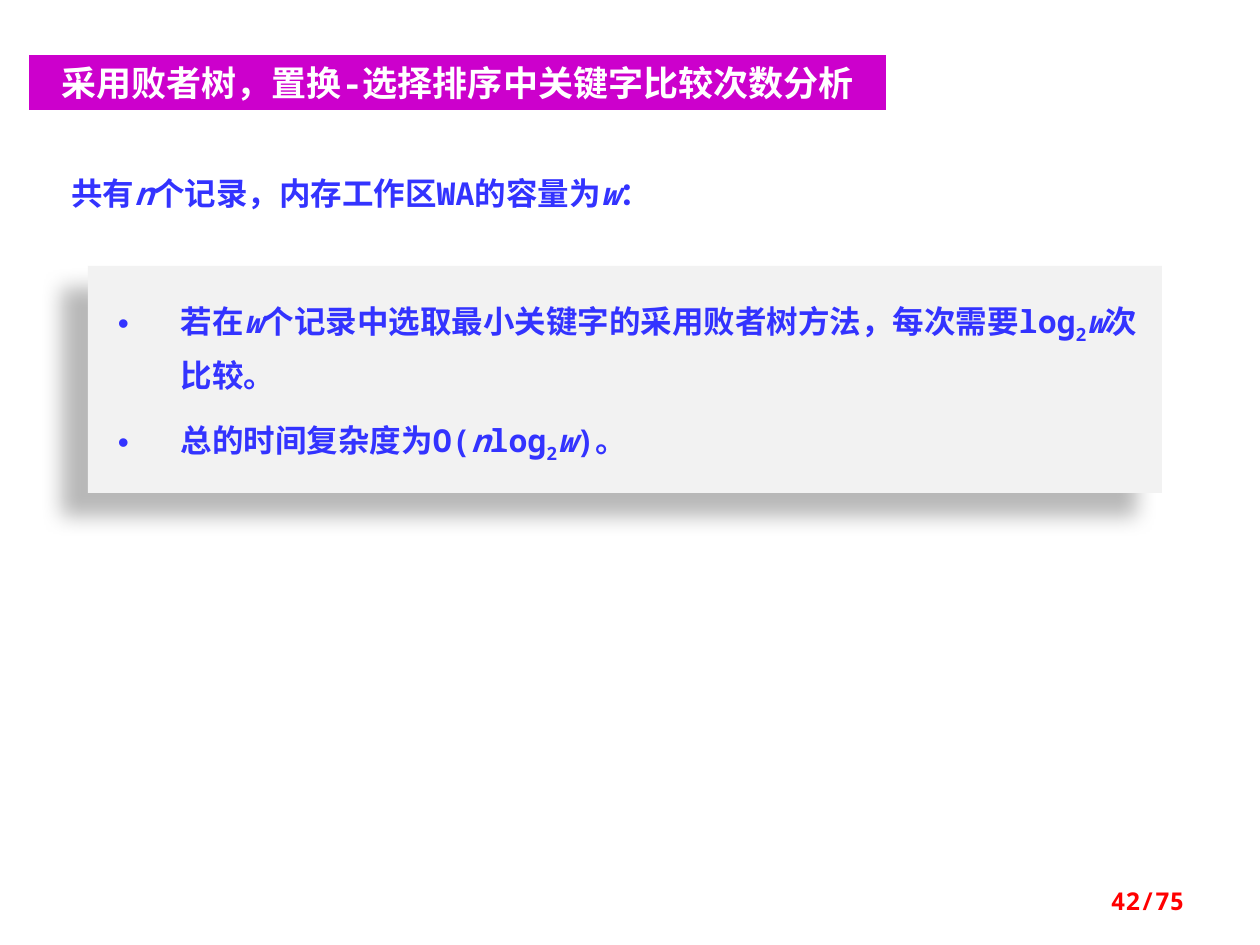
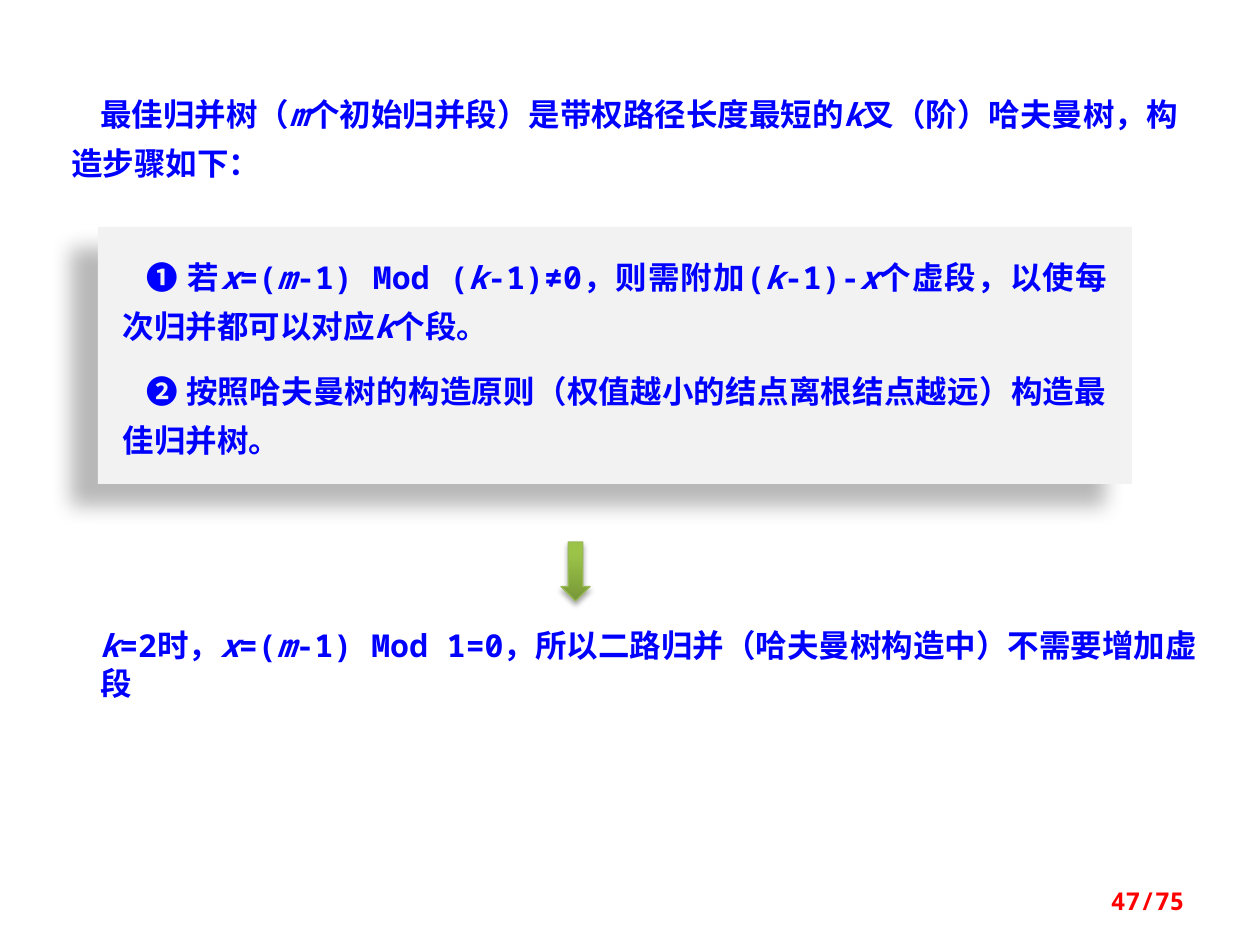
"""Build two slides on loser-tree comparisons and the best merge tree."""
import pptx
import pptx.util
from lxml import etree
from pptx.dml.color import RGBColor
from pptx.enum.shapes import MSO_SHAPE
from pptx.enum.text import MSO_ANCHOR, PP_ALIGN
from pptx.oxml.ns import qn

PX = 914400 / 126
FONT = "Noto Sans Mono"
COLORS = {
    "band": "CC00CC",
    "white": "FFFFFF",
    "violet": "3333FF",
    "blue": "0000FF",
    "panel": "F2F2F2",
    "page": "FF0000",
    "shadow": "000000",
    "arrow_dark": "779737",
    "arrow_light": "9BC348",
    "arrow_line": "98B955",
}


def px(n):
    """Turn pixels into EMU."""
    return pptx.util.Emu(round(n * PX))


def rgb(name):
    """Look up a colour by name."""
    return RGBColor.from_string(COLORS[name])


def add_run(p, text, size, color, italic=False, sub=False):
    """Add one bold run to a paragraph."""
    r = p.add_run()
    r.text = text
    r.font.name = FONT
    r.font.size = pptx.util.Pt(size)
    r.font.bold = True
    r.font.italic = italic
    r.font.color.rgb = rgb(color)
    rPr = r._r.get_or_add_rPr()
    rPr.set("lang", "zh-CN")
    if sub:
        rPr.set("baseline", "-25000")


def add_bullet(p):
    """Give a paragraph a round bullet."""
    pPr = p._p.get_or_add_pPr()
    etree.SubElement(pPr, qn("a:buFont")).set("typeface", "Arial")
    etree.SubElement(pPr, qn("a:buChar")).set("char", "•")


def write(shape, texts, color, size=18, align=PP_ALIGN.LEFT, anchor=MSO_ANCHOR.TOP,
          leading=None, gap=0, margin=0, indent=0, bullet=False):
    """Fill a shape with paragraphs; *x* is italic and _x_ is subscript."""
    tf = shape.text_frame
    tf.word_wrap = True
    tf.vertical_anchor = anchor
    for i, text in enumerate(texts):
        p = tf.paragraphs[0] if i == 0 else tf.add_paragraph()
        if bullet:
            add_bullet(p)
        p.alignment = align
        pPr = p._p.get_or_add_pPr()
        pPr.set("marL", str(px(margin)))
        pPr.set("indent", str(px(indent)))
        if leading:
            p.line_spacing = pptx.util.Pt(leading)
        p.space_before = pptx.util.Pt(gap if i else 0)
        for j, part in enumerate(text.split("*")):
            for k, piece in enumerate(part.split("_")):
                if piece:
                    add_run(p, piece, size, color, italic=j % 2 == 1, sub=k % 2 == 1)


def add_text(s, x, y, w, h, texts, color, **style):
    """Add a text box."""
    write(s.shapes.add_textbox(px(x), px(y), px(w), px(h)), texts, color, **style)


def add_shadow(sp, alpha, blur, dist, angle):
    """Give a shape an outer shadow; blur and distance are in points."""
    sp.shadow.inherit = False
    effects = sp._element.spPr.find(qn("a:effectLst"))
    outer = etree.SubElement(effects, qn("a:outerShdw"), blurRad=str(pptx.util.Pt(blur)),
                             dist=str(pptx.util.Pt(dist)), dir=str(angle * 60000),
                             algn="ctr", rotWithShape="0")
    clr = etree.SubElement(outer, qn("a:srgbClr"), val=COLORS["shadow"])
    etree.SubElement(clr, qn("a:alpha"), val=str(alpha * 1000))


def add_panel(s, x, y, w, h, insets, texts, color, **style):
    """Add a grey panel with a soft shadow and text."""
    sp = s.shapes.add_shape(MSO_SHAPE.RECTANGLE, px(x), px(y), px(w), px(h))
    sp.fill.solid()
    sp.fill.fore_color.rgb = rgb("panel")
    sp.line.fill.background()
    add_shadow(sp, 28, 11.8, 19.7, 141)
    tf = sp.text_frame
    tf.margin_left, tf.margin_top, tf.margin_right, tf.margin_bottom = map(px, insets)
    write(sp, texts, color, leading=28, **style)


def add_down_arrow(s, x, y, w, h):
    """Add a green gradient arrow pointing down."""
    sp = s.shapes.add_shape(MSO_SHAPE.DOWN_ARROW, px(x), px(y), px(w), px(h))
    sp.fill.gradient()
    sp.fill.gradient_angle = 90
    dark, light = sp.fill.gradient_stops
    dark.color.rgb = rgb("arrow_dark")
    light.color.rgb = rgb("arrow_light")
    light.position = 0.8
    sp.line.color.rgb = rgb("arrow_line")
    sp.line.width = pptx.util.Pt(0.75)
    add_shadow(sp, 35, 3.1, 1.8, 90)


def set_title(s, text):
    """Turn the title placeholder into a coloured band."""
    sp = s.shapes.title
    sp.left, sp.top, sp.width, sp.height = map(px, (29, 55, 857, 55))
    sp.fill.solid()
    sp.fill.fore_color.rgb = rgb("band")
    write(sp, [text], "white", size=20, align=PP_ALIGN.CENTER, anchor=MSO_ANCHOR.MIDDLE)


def add_page(s, number):
    """Add the page number at the lower right."""
    add_text(s, 903, 876, 294, 50, [f"{number}/75"], "page", size=14,
             align=PP_ALIGN.RIGHT, anchor=MSO_ANCHOR.MIDDLE)


def build_comparisons(prs):
    """Build the slide on the number of key comparisons."""
    s = prs.slides.add_slide(prs.slide_layouts[5])
    set_title(s, "采用败者树，置换-选择排序中关键字比较次数分析")
    add_text(s, 59, 168, 718, 50, ["共有*n*个记录，内存工作区WA的容量为*w*："], "violet")
    add_panel(s, 88, 266, 1074, 227, (30, 30, 25, 25), [
        "若在*w*个记录中选取最小关键字的采用败者树方法，每次需要log_2_*w*次比较。",
        "总的时间复杂度为O(*n*log_2_*w*)。",
    ], "violet", gap=12, margin=63, indent=-63, bullet=True)
    add_page(s, 42)


def build_merge_tree(prs):
    """Build the slide on constructing the best merge tree."""
    s = prs.slides.add_slide(prs.slide_layouts[6])
    add_panel(s, 98, 227, 1034, 257, (25, 20, 25, 20), [
        "❶ 若*x*=(*m*-1) Mod (*k*-1)≠0，则需附加(*k*-1)-*x*个虚段，以使每次归并都可以对应*k*个段。",
        "❷ 按照哈夫曼树的构造原则（权值越小的结点离根结点越远）构造最佳归并树。",
    ], "blue", align=PP_ALIGN.JUSTIFY, gap=9, indent=24)
    add_text(s, 59, 78, 1142, 107, [
        "最佳归并树（*m*个初始归并段）是带权路径长度最短的*k*叉（阶）哈夫曼树，构造步骤如下：",
    ], "blue", leading=28, indent=29)
    add_text(s, 88, 620, 1131, 50, [
        "*k*=2时，*x*=(*m*-1) Mod 1=0，所以二路归并（哈夫曼树构造中）不需要增加虚段",
    ], "blue")
    add_down_arrow(s, 561, 542, 29, 59)
    add_page(s, 47)


def main():
    """Build and save the presentation."""
    prs = pptx.Presentation()
    prs.slide_width, prs.slide_height = px(1260), px(945)
    build_comparisons(prs)
    build_merge_tree(prs)
    prs.save("out.pptx")


if __name__ == "__main__":
    main()
